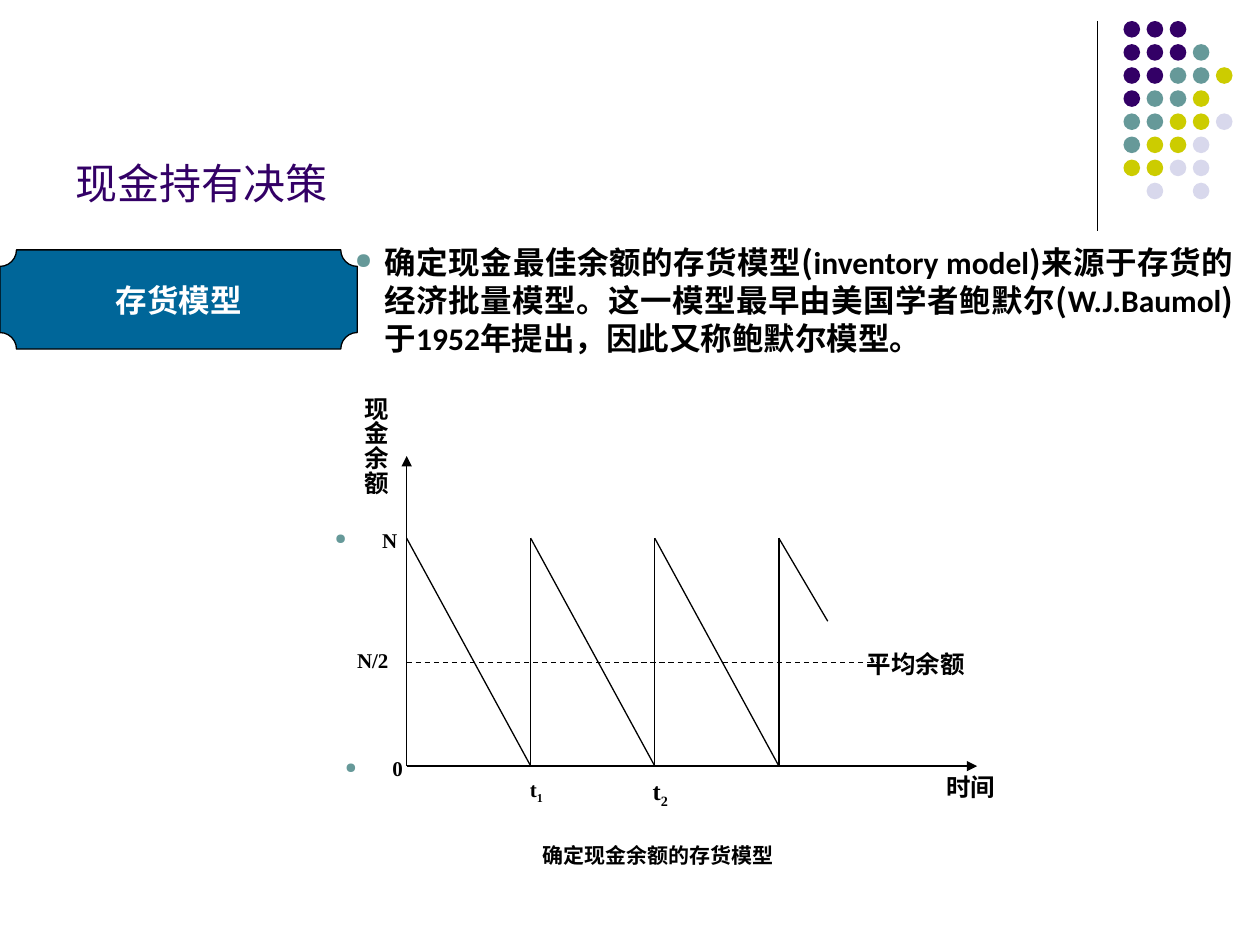
from dataclasses import dataclass
from itertools import groupby

from lxml.etree import SubElement
from pptx import Presentation
from pptx.dml.color import RGBColor
from pptx.enum.dml import MSO_LINE
from pptx.enum.shapes import MSO_CONNECTOR, MSO_SHAPE
from pptx.enum.text import MSO_ANCHOR, PP_ALIGN
from pptx.oxml.ns import qn
from pptx.util import Pt


@dataclass(frozen=True)
class Theme:
    purple: str = "330066"
    teal: str = "669999"
    lime: str = "CCCC00"
    pale: str = "D8D8EC"
    blue: str = "006699"
    black: str = "000000"
    white: str = "FFFFFF"
    title: float = 24
    body: float = 18
    axis: float = 14
    small: float = 12
    heading_font: str = "Arial"
    body_font: str = "Calibri"
    mark_font: str = "Noto Sans CJK SC"
    label_font: str = "Times New Roman"


@dataclass(frozen=True)
class Label:
    text: str
    left: float
    top: float
    width: float
    height: float
    size: float
    indent: float
    sub: str = ""
    bullet: bool = False
    vertical: bool = False


T = Theme()


def rgb(value: str) -> RGBColor:
    return RGBColor.from_string(value)


def style(r, size: float, font: str, color: str, bold: bool = True) -> None:
    r.font.size, r.font.name, r.font.bold = Pt(size), font, bold
    r.font.color.rgb = rgb(color)


def add_bullet(p, hanging: float) -> None:
    pPr = p._p.get_or_add_pPr()
    pPr.set("marL", str(Pt(hanging)))
    pPr.set("indent", str(-Pt(hanging)))
    color = SubElement(pPr, qn("a:buClr"))
    SubElement(color, qn("a:srgbClr"), val=T.teal)
    SubElement(pPr, qn("a:buSzPct"), val="70000")
    SubElement(pPr, qn("a:buChar"), char="●")


def add_line(s, x1: float, y1: float, x2: float, y2: float,
             arrow: bool = False, dashed: bool = False) -> None:
    line = s.shapes.add_connector(MSO_CONNECTOR.STRAIGHT, Pt(x1), Pt(y1), Pt(x2), Pt(y2))
    line.line.color.rgb = rgb(T.black)
    line.line.width = Pt(0.75)
    if dashed:
        line.line.dash_style = MSO_LINE.DASH
    if arrow:
        SubElement(line.line._get_or_add_ln(), qn("a:tailEnd"), type="triangle")
    SubElement(line._element.spPr, qn("a:effectLst"))


def add_text(s, left: float, top: float, width: float, height: float):
    tf = s.shapes.add_textbox(Pt(left), Pt(top), Pt(width), Pt(height)).text_frame
    tf.word_wrap = True
    return tf


def add_label(s, label: Label) -> None:
    tf = add_text(s, label.left, label.top, label.width, label.height)
    if label.vertical:
        tf._txBody.bodyPr.set("vert", "eaVert")
        tf.margin_top, tf.margin_right, tf.margin_bottom, tf.margin_left = (
            Pt(1.4), Pt(3.6), Pt(7.2), Pt(3.6))
    else:
        tf.margin_left = Pt(1.4)
    p = tf.paragraphs[0]
    p.text = label.text
    p.alignment = PP_ALIGN.JUSTIFY
    p.space_before = Pt(label.size / 4)
    if label.sub:
        r = p.add_run()
        r.text = label.sub
        r.font._element.set("baseline", "-25000")
    for r in p.runs:
        style(r, label.size, T.label_font, T.black)
    if label.bullet:
        add_bullet(p, label.indent)
    else:
        p._p.get_or_add_pPr().set("marL", str(Pt(label.indent)))


def add_decoration(s) -> None:
    add_line(s, 627, 12, 627, 132)
    colors = {"P": T.purple, "T": T.teal, "Y": T.lime, "L": T.pale}
    rows = ("PPP", "PPPT", "PPTTY", "PTTY", "TTYYL", "TYYL", "YYLL", ".L.L")
    pitch, size = 13.2, 9.5
    for i, row in enumerate(rows):
        for j, key in enumerate(row):
            if key not in colors:
                continue
            dot = s.shapes.add_shape(MSO_SHAPE.OVAL, Pt(642 + j * pitch),
                                     Pt(12 + i * pitch), Pt(size), Pt(size))
            dot.shadow.inherit = False
            dot.fill.solid()
            dot.fill.fore_color.rgb = rgb(colors[key])
            dot.line.fill.background()


def add_title(s) -> None:
    sp = s.shapes.title
    sp.left, sp.top, sp.width, sp.height = Pt(36), Pt(26), Pt(594), Pt(96.5)
    tf = sp.text_frame
    tf.text = "现金持有决策"
    tf.vertical_anchor = MSO_ANCHOR.BOTTOM
    p = tf.paragraphs[0]
    p.alignment = PP_ALIGN.LEFT
    style(p.runs[0], T.title, T.heading_font, T.purple, bold=False)


def add_plaque(s) -> None:
    sp = s.shapes.add_shape(MSO_SHAPE.PLAQUE, Pt(0), Pt(142.8), Pt(204.2), Pt(56.7))
    sp.shadow.inherit = False
    sp.fill.solid()
    sp.fill.fore_color.rgb = rgb(T.blue)
    sp.line.color.rgb = rgb(T.black)
    sp.line.width = Pt(0.75)
    tf = sp.text_frame
    tf.text = "存货模型"
    tf.vertical_anchor = MSO_ANCHOR.MIDDLE
    p = tf.paragraphs[0]
    p.alignment = PP_ALIGN.CENTER
    style(p.runs[0], T.body, T.heading_font, T.white)


def add_body(s) -> None:
    text = ("确定现金最佳余额的存货模型(inventory model)来源于存货的经济批量模型。"
            "这一模型最早由美国学者鲍默尔(W.J.Baumol)于1952年提出，因此又称鲍默尔模型。")
    p = add_text(s, 195.8, 135.4, 516.2, 72).paragraphs[0]
    p.alignment = PP_ALIGN.JUSTIFY
    p.space_before = Pt(4.5)
    for is_mark, chars in groupby(text, lambda c: c in "()，"):
        r = p.add_run()
        r.text = "".join(chars)
        style(r, T.body, T.mark_font if is_mark else T.body_font, T.black)
    add_bullet(p, 17)


def add_diagram(s) -> None:
    x0, period, peak, base, average = 232.4, 70.9, 307.6, 437.8, 378.6
    # Axes and average balance
    add_line(s, x0, base, x0, 260.6, arrow=True)
    add_line(s, x0, base, 558.4, base, arrow=True)
    add_line(s, x0, average, 502, average, dashed=True)
    # Cash cycles: steady use, then refill
    for i in range(3):
        start, end = x0 + i * period, x0 + (i + 1) * period
        add_line(s, start, peak, end, base)
        add_line(s, end, base, end, peak)
    add_line(s, x0 + 3 * period, peak, 473, 355)
    # Labels
    labels = (
        Label("t", 354.2, 440, 44, 35.3, T.axis, 17.4, sub="2"),
        Label("时间", 530, 437.8, 57, 35.3, T.axis, 9.4),
        Label("平均余额", 487.4, 367.2, 99.4, 35.3, T.axis, 6.6),
        Label("现金余额", 184.3, 218.9, 42.5, 94.3, T.axis, 6.5, vertical=True),
        Label("N", 190, 298, 57, 35.3, T.small, 27, bullet=True),
        Label("N/2", 178.6, 366.5, 57, 35.3, T.small, 24),
        Label("0", 195.8, 428.4, 45.4, 35.3, T.small, 27, bullet=True),
        Label("t", 286.6, 440, 41, 35.3, T.small, 14.8, sub="1"),
    )
    for label in labels:
        add_label(s, label)
    # Caption
    p = add_text(s, 303, 478, 170, 27).paragraphs[0]
    p.text = "确定现金余额的存货模型"
    style(p.runs[0], T.small, T.heading_font, T.black)


def main() -> None:
    prs = Presentation()
    prs.slide_width, prs.slide_height = Pt(720), Pt(540)
    s = prs.slides.add_slide(prs.slide_layouts[5])
    add_decoration(s)
    add_title(s)
    add_plaque(s)
    add_diagram(s)
    add_body(s)
    prs.save("out.pptx")


if __name__ == "__main__":
    main()
